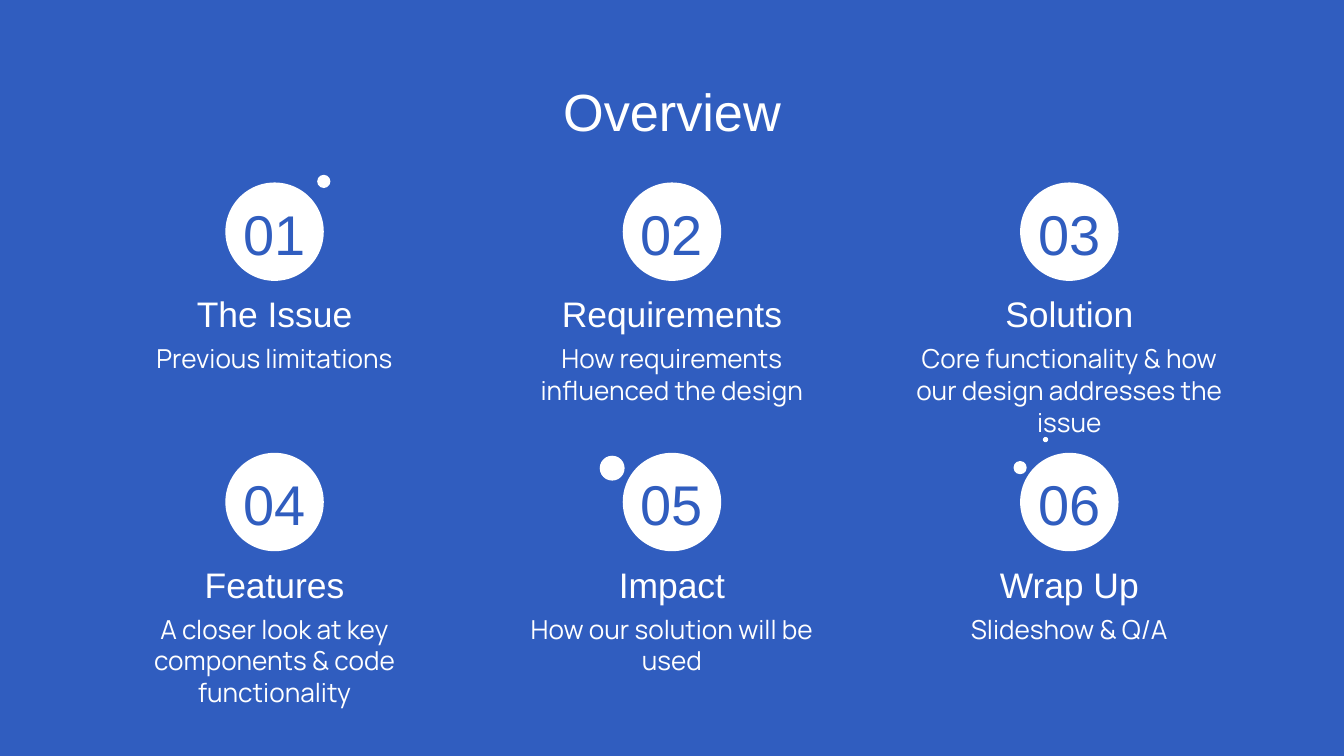
from dataclasses import dataclass

from pptx import Presentation
from pptx import util as u
from pptx.dml import color as c
from pptx.enum import shapes as s, text as t


@dataclass(frozen=True)
class Theme:
    blue: c.RGBColor = c.RGBColor(0x30, 0x5D, 0xBF)
    white: c.RGBColor = c.RGBColor(0xFF, 0xFF, 0xFF)
    display: str = "Arial"
    body: str = "Manrope"
    title_size: int = 28
    number_size: int = 30
    heading_size: int = 19
    detail_size: int = 14


THEME = Theme()
INSET = 0.25
COLUMNS = 3
MIDDLE_X, COLUMN_STEP = 12.7, 7.51
FIRST_ROW, ROW_STEP = 3.45, 5.11
CIRCLE = 1.86
ITEM_WIDTH = 6.73

TOPICS = [
    ("The Issue", "Previous limitations"),
    ("Requirements", "How requirements influenced the design"),
    ("Solution", "Core functionality & how our design addresses the issue"),
    ("Features", "A closer look at key components & code functionality"),
    ("Impact", "How our solution will be used"),
    ("Wrap Up", "Slideshow & Q/A"),
]

# Centre x, centre y, diameter
DOTS = [
    (6.12, 3.43, 0.25),
    (19.28, 8.84, 0.25),
    (19.76, 8.31, 0.1),
    (11.57, 8.85, 0.47),
]


def apply_format(target, values):
    for name, value in values.items():
        setattr(target, name, value)


def write(box, words, font, size, color, inset=INSET,
          anchor=t.MSO_ANCHOR.TOP, spacing=None):
    """Fill a shape with one centred paragraph."""
    frame = box.text_frame
    margin = u.Cm(inset)
    apply_format(frame, {
        "word_wrap": True,
        "auto_size": t.MSO_AUTO_SIZE.NONE,
        "vertical_anchor": anchor,
        "margin_left": margin,
        "margin_right": margin,
        "margin_top": margin,
        "margin_bottom": margin,
    })
    para = frame.paragraphs[0]
    apply_format(para, {"alignment": t.PP_ALIGN.CENTER, "line_spacing": spacing})
    span = para.add_run()
    span.text = words
    apply_format(span.font, {"name": font, "size": u.Pt(size), "bold": False})
    span.font.color.rgb = color


def add_title(page, words):
    box = page.shapes.title
    apply_format(box, {
        "left": u.Cm(0.86),
        "top": u.Cm(1.24),
        "width": u.Cm(23.68),
        "height": u.Cm(1.6),
    })
    write(box, words, THEME.display, THEME.title_size, THEME.white)


def add_circle(page, center_x, center_y, diameter):
    circle = page.shapes.add_shape(
        s.MSO_SHAPE.OVAL, u.Cm(center_x - diameter / 2),
        u.Cm(center_y - diameter / 2), u.Cm(diameter), u.Cm(diameter))
    circle.shadow.inherit = False
    circle.fill.solid()
    circle.fill.fore_color.rgb = THEME.white
    circle.line.fill.background()
    return circle


def add_label(page, center_x, top, height, words, font, size, spacing=None):
    box = page.shapes.add_textbox(
        u.Cm(center_x - ITEM_WIDTH / 2), u.Cm(top),
        u.Cm(ITEM_WIDTH), u.Cm(height))
    write(box, words, font, size, THEME.white, spacing=spacing)


def add_topic(page, index, heading, detail):
    """Place a numbered topic in its cell of the grid."""
    row, column = divmod(index, COLUMNS)
    center_x = MIDDLE_X + (column - 1) * COLUMN_STEP
    top = FIRST_ROW + row * ROW_STEP
    circle = add_circle(page, center_x, top + CIRCLE / 2, CIRCLE)
    write(circle, f"{index + 1:02d}", THEME.display, THEME.number_size,
          THEME.blue, inset=0, anchor=t.MSO_ANCHOR.BOTTOM)
    add_label(page, center_x, top + 2.77, 1.85, detail,
              THEME.body, THEME.detail_size, spacing=u.Pt(17))
    add_label(page, center_x, top + 1.83, 1.17, heading,
              THEME.display, THEME.heading_size)


def main():
    deck = Presentation()
    apply_format(deck, {"slide_width": u.Cm(25.4), "slide_height": u.Cm(14.29)})
    page = deck.slides.add_slide(deck.slide_layouts.get_by_name("Title Only"))
    page.background.fill.solid()
    page.background.fill.fore_color.rgb = THEME.blue
    add_title(page, "Overview")
    for index, (heading, detail) in enumerate(TOPICS):
        add_topic(page, index, heading, detail)
    for dot in DOTS:
        add_circle(page, *dot)
    deck.save("out.pptx")


if __name__ == "__main__":
    main()
